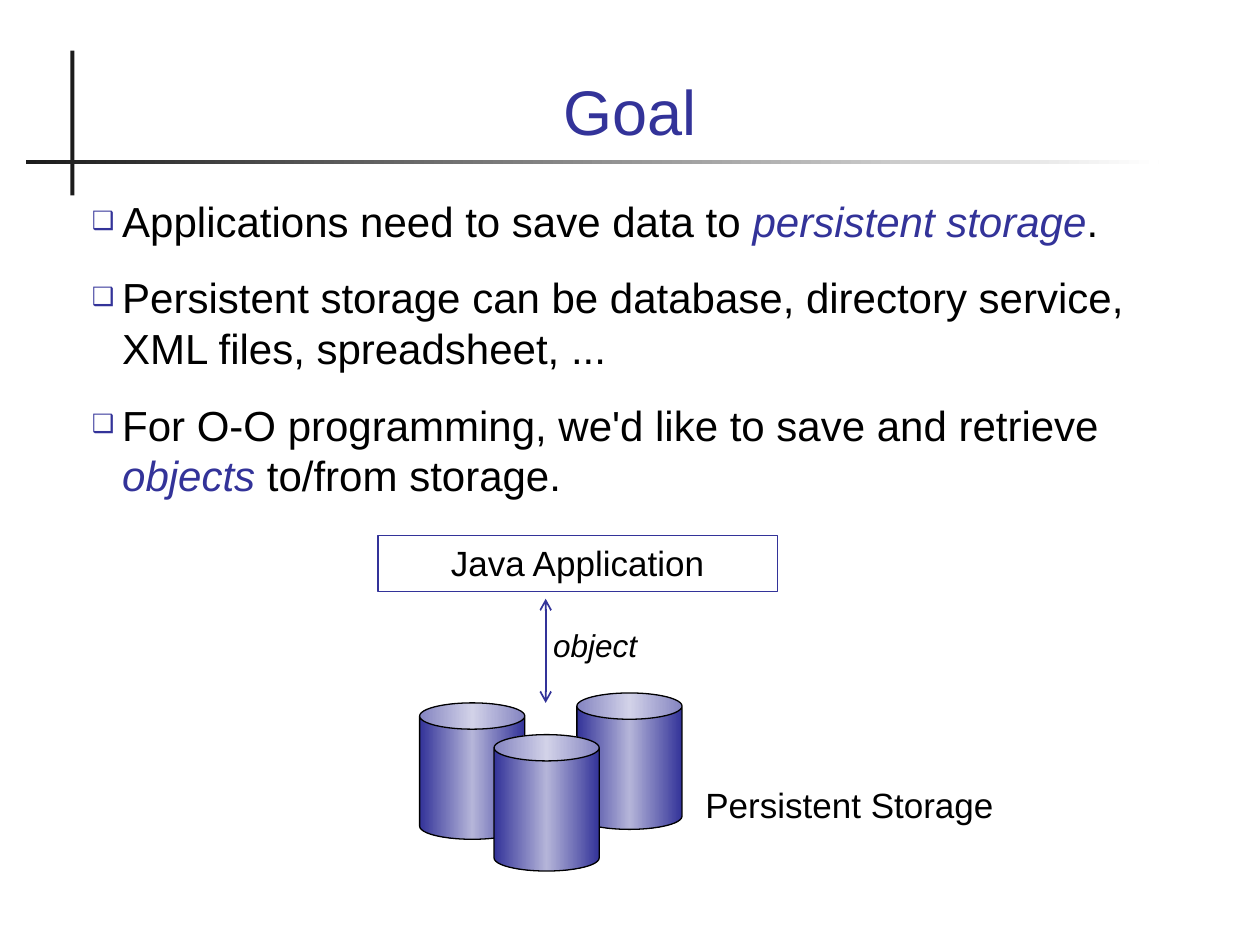
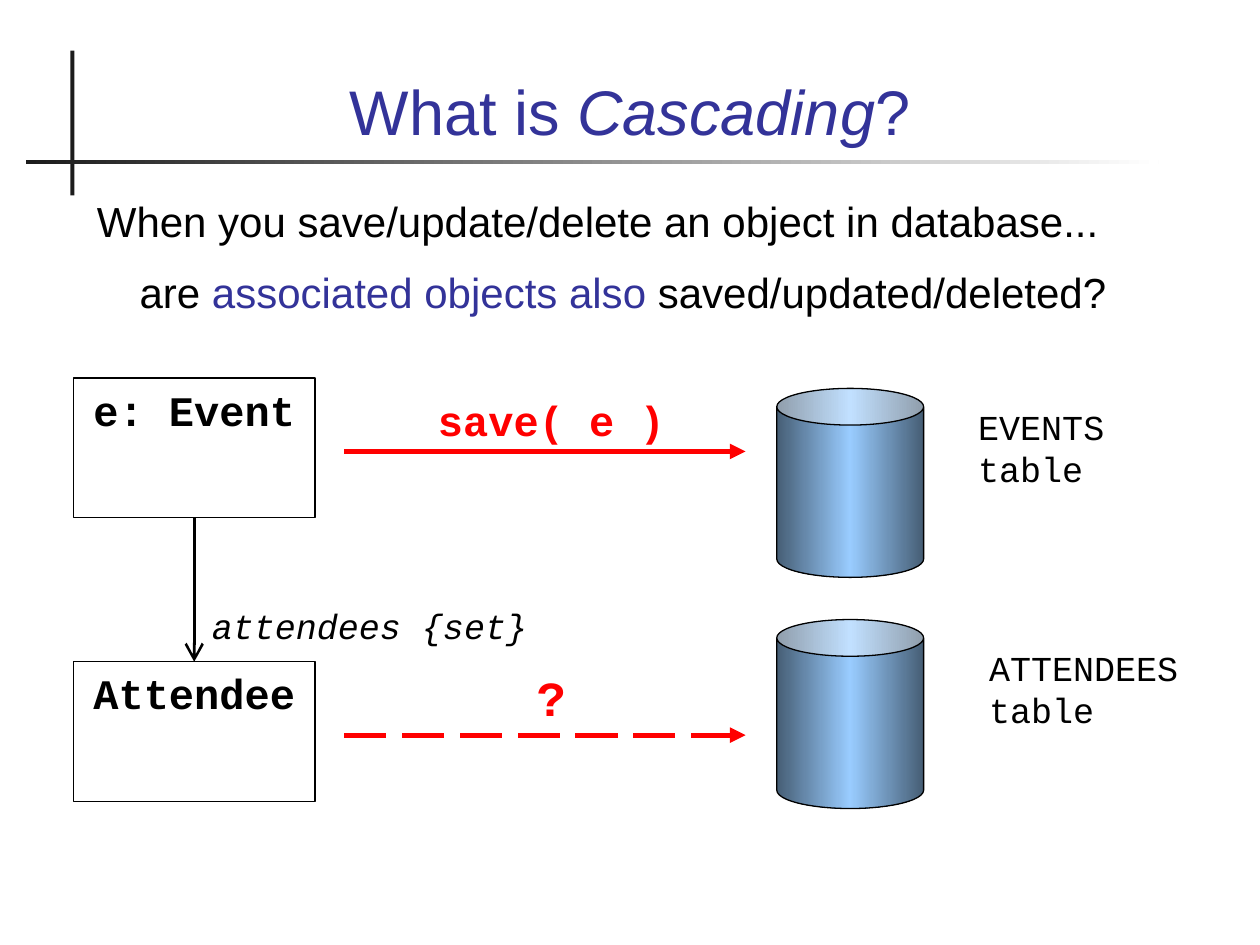
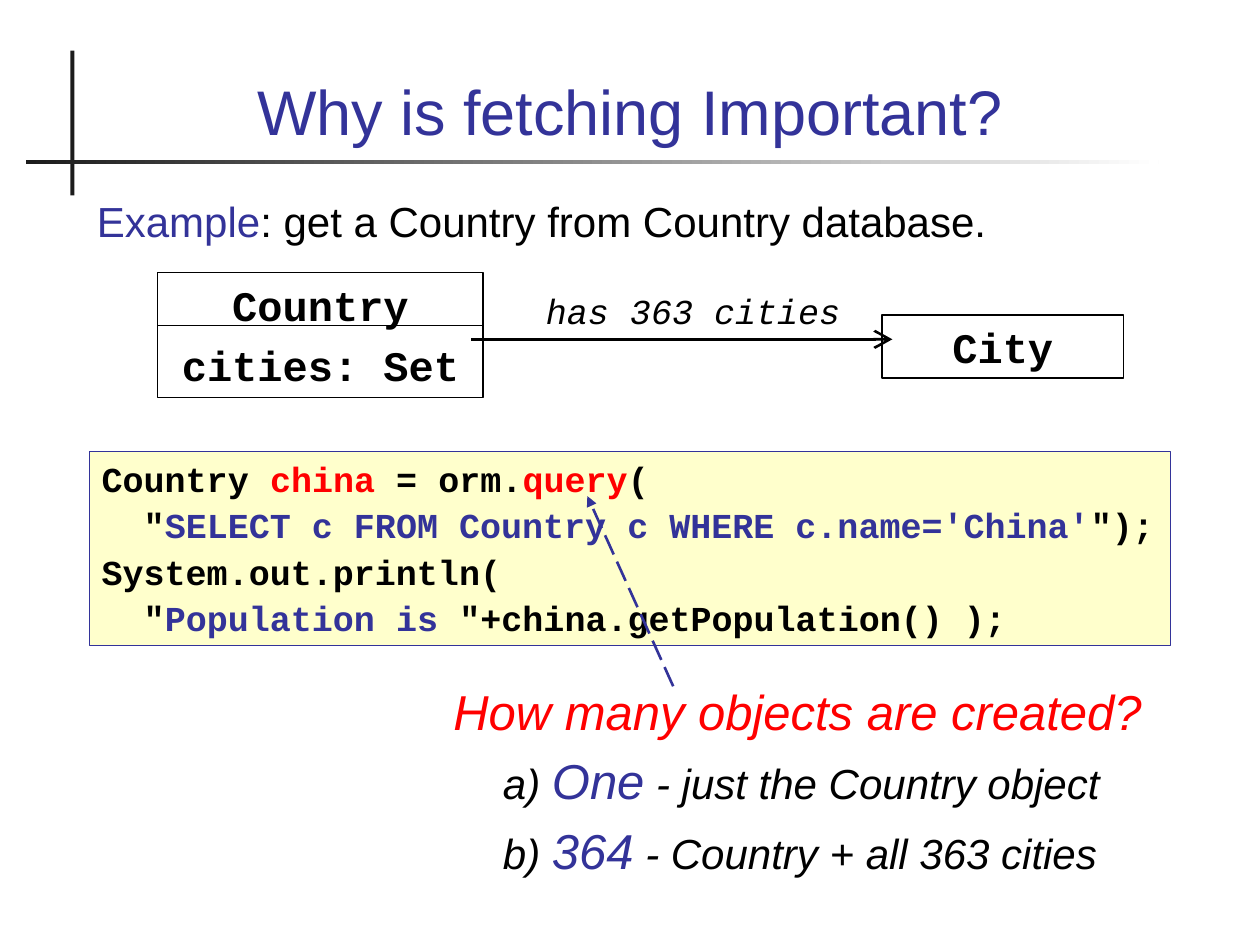
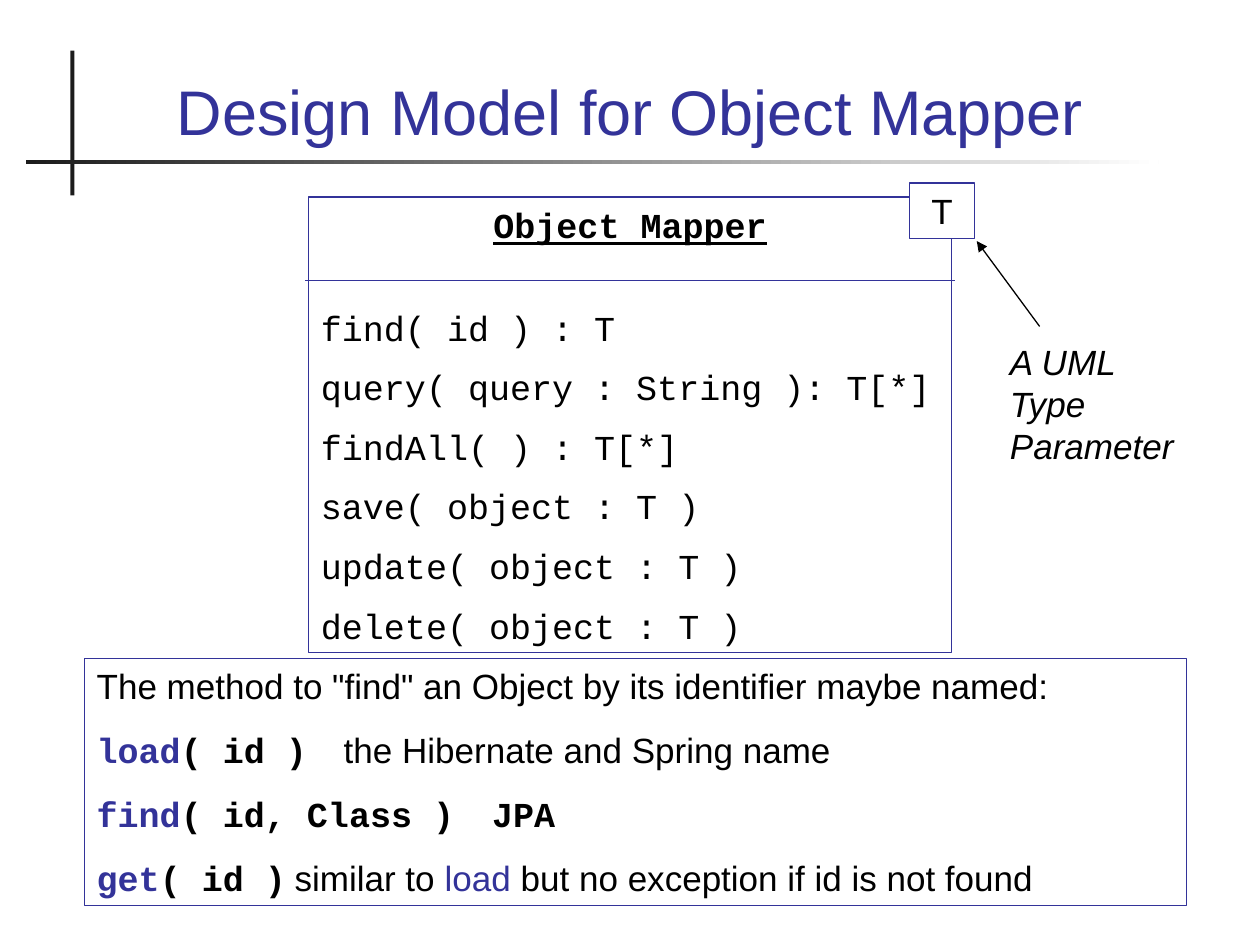
"""Build four slides on object persistence: goal, cascading, fetching and mapper design."""
from lxml import etree
from pptx import Presentation
from pptx import util as u
from pptx.dml.color import RGBColor
from pptx.enum import dml, shapes, text
from pptx.oxml.ns import qn

THEME = {
    "colors": {"accent": "333399", "black": "000000", "white": "FFFFFF", "red": "FF0000",
               "code": "FFFFCC", "ink": "1C1C1C", "accent light": "B5B5D9",
               "steel": "465E75", "sky": "99CCFF"},
    "marks": {
        "label": {"name": "Arial", "size": u.Pt(20), "color": "black"},
        "mono": {"name": "Courier New"},
        "bold": {"bold": True},
        "plain": {"bold": False, "name": "Arial"},
        "italic": {"italic": True},
        "underline": {"underline": True},
        "accent": {"color": "accent"},
        "red": {"color": "red"},
        "small": {"size": u.Pt(18)},
        "body": {"size": u.Pt(24)},
        "large": {"size": u.Pt(28)},
        "title": {"size": u.Pt(36), "color": "accent"},
    },
    "line spacing": 1.0,
    "hanging": 0.61,
}
TITLE_AT = (1.7, 0.71, 22, 2.41)
SPINE_AT = (1.42, 1.02, 0.08, 2.92)
RULE_AT = (0.53, 3.23, 22.83, 0.08)
STORE, TABLE = (2.12, 2.75), (2.96, 3.81)
ACCENT_CAN, SKY_CAN = ("accent", "accent light", "accent"), ("steel", "sky", "steel")
CLASS_MARKS = "mono body bold"

GOAL = {
    "title": [("Goal", "")],
    "body": {"at": (1.6, 3.81, 22, 7.8), "gap": 15, "bullet": "❑", "paragraphs": [
        {"runs": [("Applications need to save data to ", ""),
                  ("persistent storage", "accent italic"), (".", "")]},
        {"runs": [("Persistent storage can be database, directory service, "
                   "XML files, spreadsheet, ...", "")]},
        {"runs": [("For O-O programming, we'd like to save and retrieve ", ""),
                  ("objects", "accent italic"), (" to/from storage.", "")]},
    ]},
    "boxes": [
        {"at": (7.62, 10.8, 8.05, 1.12), "line": "accent", "align": "CENTER",
         "paragraphs": [{"runs": [("Java Application", "")]}]},
        {"at": (10.9, 12.5, 3.61, 1.02), "marks": "small italic",
         "paragraphs": [{"runs": [("object", "")]}]},
        {"at": (13.97, 15.67, 7.19, 1.12),
         "paragraphs": [{"runs": [("Persistent Storage", "")]}]},
    ],
    "cans": [(place + STORE, ACCENT_CAN)
             for place in ((8.46, 14.17), (11.63, 13.97), (9.96, 14.81))],
    "lines": [{"ends": (11, 12.07, 11, 14.17), "color": "accent", "width": 1,
               "head": "arrow", "tail": "arrow"}],
}

CASCADING = {
    "title": [("What is ", ""), ("Cascading", "italic"), ("?", "")],
    "body": {"at": (1.7, 3.81, 22, 3.38), "gap": 12, "paragraphs": [
        {"runs": [("When you save/update/delete an object in database...", "")]},
        {"left": 0.86, "runs": [("are ", ""), ("associated objects also", "accent"),
                                (" saved/updated/deleted?", "")]},
    ]},
    "boxes": [
        {"name": "event", "at": (1.48, 7.62, 4.87, 2.82), "line": "black", "align": "CENTER",
         "marks": CLASS_MARKS, "paragraphs": [{"runs": [("e: Event", "")]}]},
        {"name": "attendee", "at": (1.48, 13.34, 4.87, 2.82), "line": "black",
         "align": "CENTER", "marks": CLASS_MARKS,
         "paragraphs": [{"runs": [("Attendee", "")]}]},
        {"at": (4.02, 12.07, 7.19, 1.12), "marks": "mono italic",
         "paragraphs": [{"runs": [("attendees {set}", "")]}]},
        {"at": (19.47, 8.05, 4.87, 1.96), "marks": "mono",
         "paragraphs": [{"runs": [("EVENTS table", "")]}]},
        {"at": (19.69, 12.91, 4.87, 1.96), "marks": "mono",
         "paragraphs": [{"runs": [("ATTENDEES table", "")]}]},
        {"at": (8.47, 7.83, 5.29, 1.27), "marks": CLASS_MARKS + " red", "align": "CENTER",
         "paragraphs": [{"runs": [("save( e )", "")]}]},
        {"at": (8.47, 13.34, 5.29, 1.45), "marks": "mono large bold red", "align": "CENTER",
         "paragraphs": [{"runs": [("?", "")]}]},
    ],
    "cans": [((15.66, top) + TABLE, SKY_CAN) for top in (7.83, 12.49)],
    "lines": [
        {"ends": (3.92, 10.44, 3.92, 13.34), "color": "black", "width": 1.5, "tail": "arrow",
         "size": "lg", "join": (("event", 2), ("attendee", 0))},
        {"ends": (6.99, 9.1, 15.03, 9.1), "color": "red", "width": 3, "tail": "triangle"},
        {"ends": (6.99, 14.82, 15.03, 14.82), "color": "red", "width": 3,
         "tail": "triangle", "dashed": True},
    ],
}

FETCHING = {
    "title": [("Why is fetching Important?", "")],
    "body": {"at": (1.7, 3.81, 22, 4.44), "gap": 12, "paragraphs": [
        {"runs": [("Example", "accent"), (": get a Country from Country database.", "")]}]},
    "boxes": [
        {"at": (1.8, 9.1, 21.8, 3.91), "fill": "code", "line": "accent", "gap": 2.5,
         "marks": "mono bold", "paragraphs": [
             {"runs": [("Country ", ""), ("china", "red"), (" = orm.", ""),
                       ("query", "red"), ("(", "")]},
             {"runs": [('  "', ""), ("SELECT c FROM Country c WHERE c.name='China'", "accent"),
                       ('");', "")]},
             {"runs": [("System.out.println(", "")]},
             {"runs": [('  "', ""), ("Population is ", "accent"),
                       ('"+china.getPopulation() );', "")]},
         ]},
        {"at": (3.18, 5.5, 6.56, 2.51), "line": "black", "align": "CENTER", "gap": 6,
         "marks": CLASS_MARKS, "paragraphs": [{"runs": [("Country", "")]},
                                              {"runs": [("cities: Set", "")]}]},
        {"at": (17.78, 6.35, 4.87, 1.27), "line": "black", "align": "CENTER",
         "marks": CLASS_MARKS, "paragraphs": [{"runs": [("City", "")]}]},
        {"at": (10.59, 5.72, 6.77, 1.12), "align": "CENTER", "marks": "mono italic",
         "paragraphs": [{"runs": [("has 363 cities", "")]}]},
        {"at": (8.89, 13.61, 14.6, 4.25), "gap": 6, "marks": "body italic", "paragraphs": [
            {"runs": [("How many objects are created?", "large red")]},
            {"left": 1, "runs": [("a) ", ""), ("One", "large accent"),
                                 (" - just the Country object", "")]},
            {"left": 1, "runs": [("b) ", ""), ("364", "large accent"),
                                 (" - Country + all 363 cities", "")]},
        ]},
    ],
    "lines": [
        {"ends": (9.52, 6.84, 17.99, 6.84), "color": "black", "width": 1.5, "tail": "arrow",
         "size": "lg"},
        {"ends": (3.18, 6.56, 9.74, 6.56), "color": "black", "width": 0.75},
        {"ends": (13.56, 13.81, 11.84, 10), "color": "accent", "width": 1.5,
         "tail": "triangle", "dashed": True},
    ],
}

METHODS = ("find( id ) : T", "query( query : String ): T[*]", "findAll( ) : T[*]",
           "save( object : T )", "update( object : T )", "delete( object : T )")
MAPPER = {
    "title": [("Design Model for Object Mapper", "")],
    "boxes": [
        {"at": (6.22, 3.97, 12.97, 9.19), "line": "accent", "gap": 10, "marks": "mono",
         "paragraphs": [{"runs": [("Object Mapper", "bold underline")], "align": "CENTER",
                         "after": 25}]
                       + [{"runs": [(method, "")]} for method in METHODS]},
        {"at": (18.33, 3.69, 1.32, 1.12), "fill": "white", "line": "accent",
         "align": "CENTER", "paragraphs": [{"runs": [("T", "")]}]},
        {"at": (20.11, 6.74, 4.03, 2.79), "marks": "italic",
         "paragraphs": [{"runs": [("A UML Type Parameter", "")]}]},
        {"at": (1.7, 13.28, 22.22, 4.98), "line": "accent", "gap": 12.5,
         "marks": "mono bold", "paragraphs": [
             {"runs": [('The method to "find" an Object by its identifier maybe named:',
                        "plain")]},
             {"tab": 4.98, "runs": [("load", "accent"), ("( id )\t", ""),
                                    ("the Hibernate and Spring name", "plain")]},
             {"tab": 7.97, "runs": [("find", "accent"), ("( id, Class )\tJPA", "")]},
             {"tab": 3.99, "runs": [("get", "accent"), ("( id )\t", ""),
                                    ("similar to ", "plain"), ("load", "plain accent"),
                                    (" but no exception if id is not found", "plain")]},
         ]},
    ],
    "lines": [
        {"ends": (6.17, 5.65, 19.23, 5.65), "color": "accent", "width": 0.75, "below": 1},
        {"ends": (20.95, 6.57, 19.69, 4.86), "color": "black", "width": 0.75,
         "tail": "triangle"},
    ],
}
SLIDES = (GOAL, CASCADING, FETCHING, MAPPER)


def color(name):
    return RGBColor.from_string(THEME["colors"][name])


def lengths(values):
    return [u.Cm(value) for value in values]


def move(shape, at):
    for name, value in zip(("left", "top", "width", "height"), lengths(at)):
        setattr(shape, name, value)


def add_run(paragraph, content, marks):
    run = paragraph.add_run()
    run.text = content
    formats = {}
    for mark in marks.split():
        formats.update(THEME["marks"][mark])
    run.font.color.rgb = color(formats.pop("color"))
    for name, value in formats.items():
        setattr(run.font, name, value)


def add_bullet(properties, bullet):
    if not bullet:
        etree.SubElement(properties, qn("a:buNone"))
        return
    bullet_color = etree.SubElement(properties, qn("a:buClr"))
    etree.SubElement(bullet_color, qn("a:srgbClr"), val=THEME["colors"]["accent"])
    etree.SubElement(properties, qn("a:buSzPct"), val="60000")
    etree.SubElement(properties, qn("a:buChar"), char=bullet)


def write(shape, box, base="label", anchor="TOP"):
    frame = shape.text_frame
    settings = {"word_wrap": True, "auto_size": text.MSO_AUTO_SIZE.NONE,
                "vertical_anchor": text.MSO_ANCHOR[anchor]}
    for name, value in settings.items():
        setattr(frame, name, value)
    bullet = box.get("bullet")
    hanging = THEME["hanging"] if bullet else 0
    for index, content in enumerate(box["paragraphs"]):
        paragraph = frame.add_paragraph() if index else frame.paragraphs[0]
        properties = paragraph._p.get_or_add_pPr()
        if shape.is_placeholder or "left" in content:
            properties.set("marL", str(u.Cm(content.get("left", hanging))))
            properties.set("indent", str(u.Cm(-hanging)))
            add_bullet(properties, bullet)
        if "tab" in content:
            stops = etree.SubElement(properties, qn("a:tabLst"))
            etree.SubElement(stops, qn("a:tab"), pos=str(u.Cm(content["tab"])), algn="l")
        align = content.get("align", box.get("align", "LEFT"))
        formats = {"alignment": text.PP_ALIGN[align],
                   "line_spacing": THEME["line spacing"],
                   "space_before": u.Pt(box.get("gap", 0) if index else 0),
                   "space_after": u.Pt(content.get("after", 0))}
        for name, value in formats.items():
            setattr(paragraph, name, value)
        for words, marks in content["runs"]:
            add_run(paragraph, words, f"{base} {box.get('marks', '')} {marks}")


def add_preset(slide, kind, at, fill=None, line=None):
    shape = slide.shapes.add_shape(shapes.MSO_SHAPE[kind], *lengths(at))
    shape.shadow.inherit = False
    if fill:
        shape.fill.solid()
        shape.fill.fore_color.rgb = color(fill)
    else:
        shape.fill.background()
    if line:
        shape.line.color.rgb = color(line)
        shape.line.width = u.Pt(0.75)
    else:
        shape.line.fill.background()
    return shape


def shade(shape, names):
    shape.fill.gradient()
    shape.fill.gradient_angle = 0
    stops = shape.element.spPr.find(".//" + qn("a:gsLst"))
    for stop in list(stops):
        stops.remove(stop)
    for index, name in enumerate(names):
        stop = etree.SubElement(stops, qn("a:gs"), pos=str(100000 * index // (len(names) - 1)))
        etree.SubElement(stop, qn("a:srgbClr"), val=THEME["colors"][name])


def add_box(slide, box):
    if "line" in box:
        shape = add_preset(slide, "RECTANGLE", box["at"], box.get("fill"), box["line"])
    else:
        shape = slide.shapes.add_textbox(*lengths(box["at"]))
    write(shape, box)
    return shape


def add_line(slide, line, named):
    connector = slide.shapes.add_connector(shapes.MSO_CONNECTOR.STRAIGHT,
                                           *lengths(line["ends"]))
    connector.line.color.rgb = color(line["color"])
    connector.line.width = u.Pt(line["width"])
    properties = connector.element.spPr
    outline = properties.find(qn("a:ln"))
    outline.set("cap", "sq")
    if line.get("dashed"):
        connector.line.dash_style = dml.MSO_LINE.LONG_DASH
    size = line.get("size", "med")
    for end in ("head", "tail"):
        if end in line:
            etree.SubElement(outline, qn(f"a:{end}End"), type=line[end], w=size, len=size)
    etree.SubElement(properties, qn("a:effectLst"))
    if "join" in line:
        (start, start_side), (finish, finish_side) = line["join"]
        connector.begin_connect(named[start], start_side)
        connector.end_connect(named[finish], finish_side)
    if "below" in line:
        list(named.values())[line["below"]].element.addprevious(connector.element)


def add_slide(presentation, content):
    body = content.get("body")
    slide = presentation.slides.add_slide(presentation.slide_layouts[1 if body else 5])
    move(slide.shapes.title, TITLE_AT)
    write(slide.shapes.title, {"align": "CENTER", "paragraphs": [{"runs": content["title"]}]},
          "label title", "BOTTOM")
    if body:
        move(slide.placeholders[1], body["at"])
        write(slide.placeholders[1], body, "label body")
    for at, names in content.get("cans", ()):
        shade(add_preset(slide, "CAN", at, line="black"), names)
    named = {box.get("name", index): add_box(slide, box)
             for index, box in enumerate(content["boxes"])}
    for line in content["lines"]:
        add_line(slide, line, named)
    return slide


def add_cross_to_master(presentation, slide):
    spine = add_preset(slide, "RECTANGLE", SPINE_AT, "ink")
    rule = add_preset(slide, "RECTANGLE", RULE_AT)
    shade(rule, ("ink", "white"))
    for shape in (spine, rule):
        presentation.slide_master.shapes.element.append(shape.element)


def main():
    presentation = Presentation()
    presentation.slide_width, presentation.slide_height = lengths((25.4, 19.05))
    slides = [add_slide(presentation, content) for content in SLIDES]
    add_cross_to_master(presentation, slides[-1])
    presentation.save("out.pptx")


if __name__ == "__main__":
    main()
